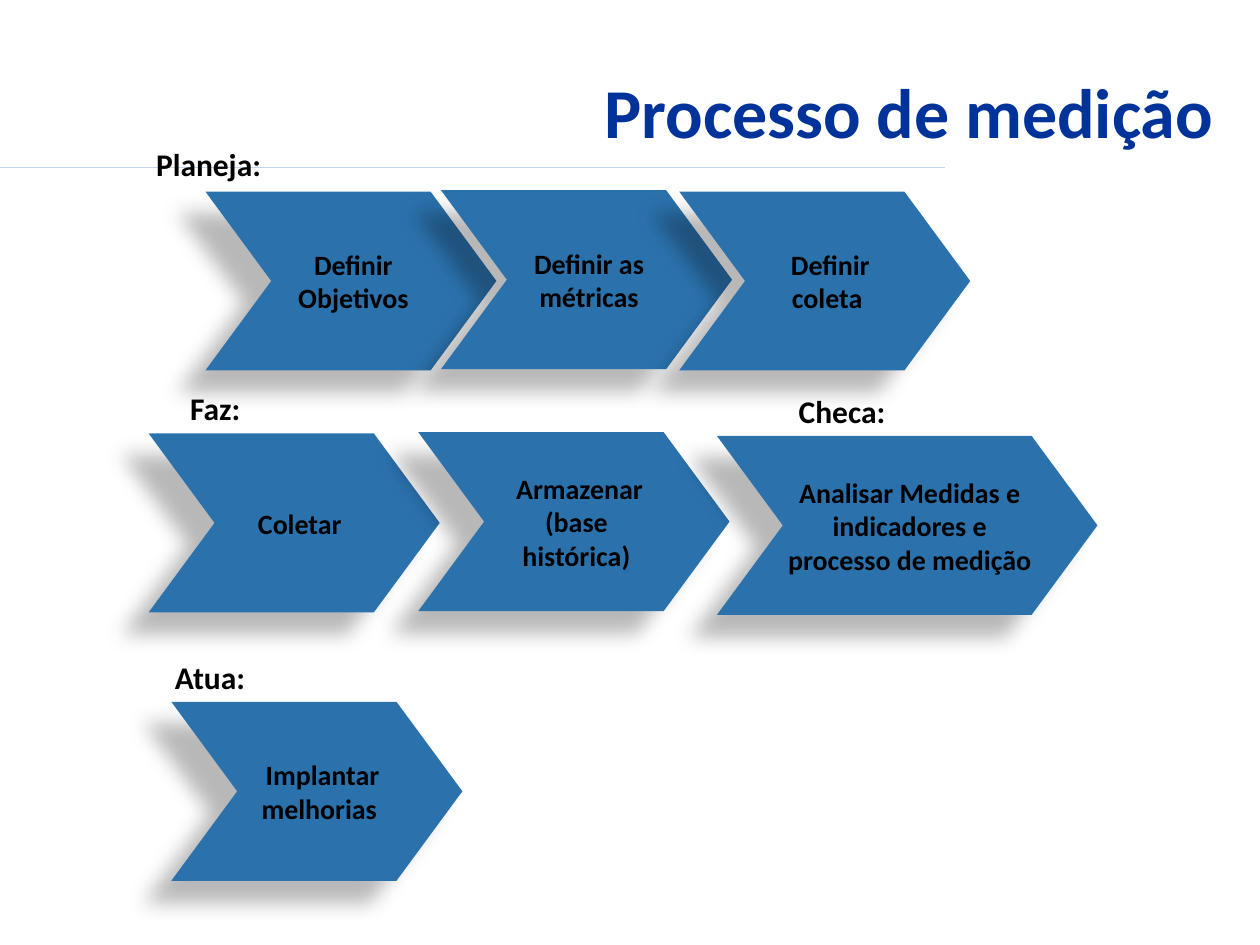
from dataclasses import dataclass

from lxml.etree import SubElement
from pptx import Presentation
from pptx.dml.color import RGBColor
from pptx.enum.shapes import MSO_CONNECTOR as Connector, MSO_SHAPE as Shape
from pptx.enum.text import MSO_ANCHOR as Anchor, MSO_AUTO_SIZE as AutoSize, PP_ALIGN as Align
from pptx.oxml.ns import qn
from pptx.util import Emu, Pt

EMU_PER_PX = 9144


def px(value):
    return Emu(value * EMU_PER_PX)


@dataclass(frozen=True)
class Theme:
    font: str = "Calibri"
    title_color: str = "003399"
    text_color: str = "000000"
    step_fill: str = "2B72AD"
    rule_color: str = "C4D6EB"
    shadow_color: str = "000000"
    title_size: int = 40
    label_size: int = 18
    step_size: int = 16


class SlideBuilder:
    def __init__(self, page, theme):
        self.page = page
        self.theme = theme

    def set_text(self, shape, text, size, color, align, **frame_format):
        frame = shape.text_frame
        for name, value in frame_format.items():
            setattr(frame, name, value)
        para = frame.paragraphs[0]
        para.alignment = align
        span = para.add_run()
        span.text = text
        for name, value in dict(name=self.theme.font, size=Pt(size), bold=True).items():
            setattr(span.font, name, value)
        span.font.color.rgb = RGBColor.from_string(color)

    def title(self, text, left, top, width, height):
        box = self.page.shapes.title
        place = dict(left=left, top=top, width=width, height=height)
        for name, value in place.items():
            setattr(box, name, px(value))
        self.set_text(box, text, self.theme.title_size, self.theme.title_color, Align.RIGHT,
                      vertical_anchor=Anchor.MIDDLE, auto_size=AutoSize.NONE, word_wrap=True)

    def rule(self, left, right, y):
        line = self.page.shapes.add_connector(
            Connector.STRAIGHT, px(left), px(y), px(right), px(y))
        line.line.width = Pt(0.75)
        line.line.color.rgb = RGBColor.from_string(self.theme.rule_color)
        SubElement(line._element.spPr, qn("a:effectLst"))

    def label(self, text, left, top, width):
        box = self.page.shapes.add_textbox(px(left), px(top), px(width), px(40))
        self.set_text(box, text, self.theme.label_size, self.theme.text_color, Align.LEFT,
                      word_wrap=False, auto_size=AutoSize.SHAPE_TO_FIT_TEXT)

    def step(self, text, left, top, width=231, height=142):
        chevron = self.page.shapes.add_shape(
            Shape.CHEVRON, px(left), px(top), px(width), px(height))
        chevron.adjustments[0] = 0.368
        chevron.fill.solid()
        chevron.fill.fore_color.rgb = RGBColor.from_string(self.theme.step_fill)
        chevron.line.fill.background()
        self.shadow(chevron)
        self.set_text(chevron, text, self.theme.step_size, self.theme.text_color, Align.CENTER,
                      vertical_anchor=Anchor.MIDDLE, word_wrap=True, margin_left=px(4),
                      margin_top=0, margin_right=0, margin_bottom=0)

    def shadow(self, shape):
        shape.shadow.inherit = False
        effects = shape._element.spPr.find(qn("a:effectLst"))
        outer = SubElement(effects, qn("a:outerShdw"), blurRad=str(Pt(11.8)),
                           dist=str(Pt(19.7)), dir=str(141 * 60000),
                           algn="ctr", rotWithShape="0")
        color = SubElement(outer, qn("a:srgbClr"), val=self.theme.shadow_color)
        SubElement(color, qn("a:alpha"), val="28000")


STEPS = [
    ("Definir Objetivos", 163, 152),
    ("Definir as métricas", 350, 151),
    (" Definir coleta", 539, 152),
    (" Coletar", 118, 344),
    (" Armazenar (base histórica)", 332, 343, 247),
    ("Analisar Medidas e indicadores e processo de medição", 569, 346, 302),
    (" Implantar melhorias", 136, 557),
]
LABELS = [
    ("Planeja:", 114, 110, 112),
    ("Faz:", 141, 304, 68),
    ("Checa:", 624, 306, 101),
    ("Atua:", 129, 517, 85),
]


def main():
    deck = Presentation()
    deck.slide_width, deck.slide_height = px(1000), px(750)
    page = deck.slides.add_slide(deck.slide_layouts[5])
    builder = SlideBuilder(page, Theme())
    builder.rule(0, 750, 133)
    builder.title("Processo de medição", 75, 68, 898, 39)
    for step in STEPS:
        builder.step(*step)
    for label in LABELS:
        builder.label(*label)
    deck.save("out.pptx")


if __name__ == "__main__":
    main()
